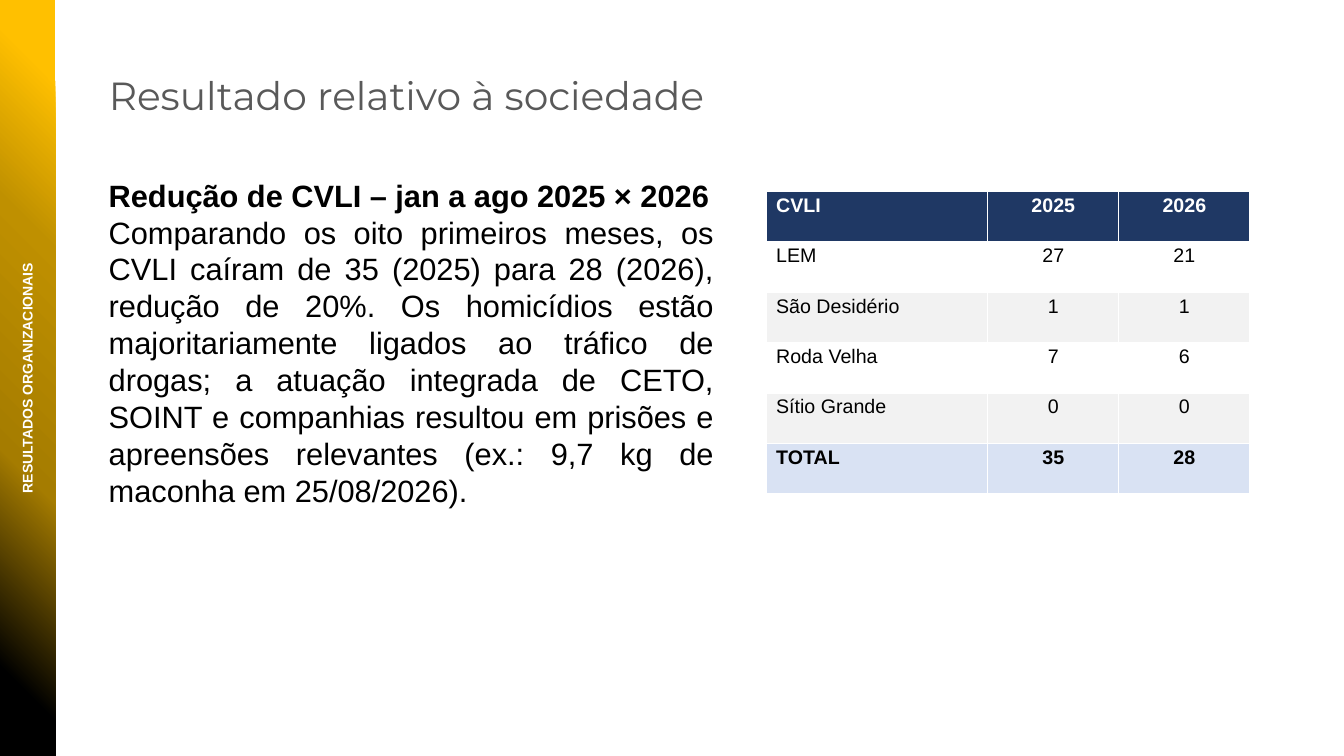
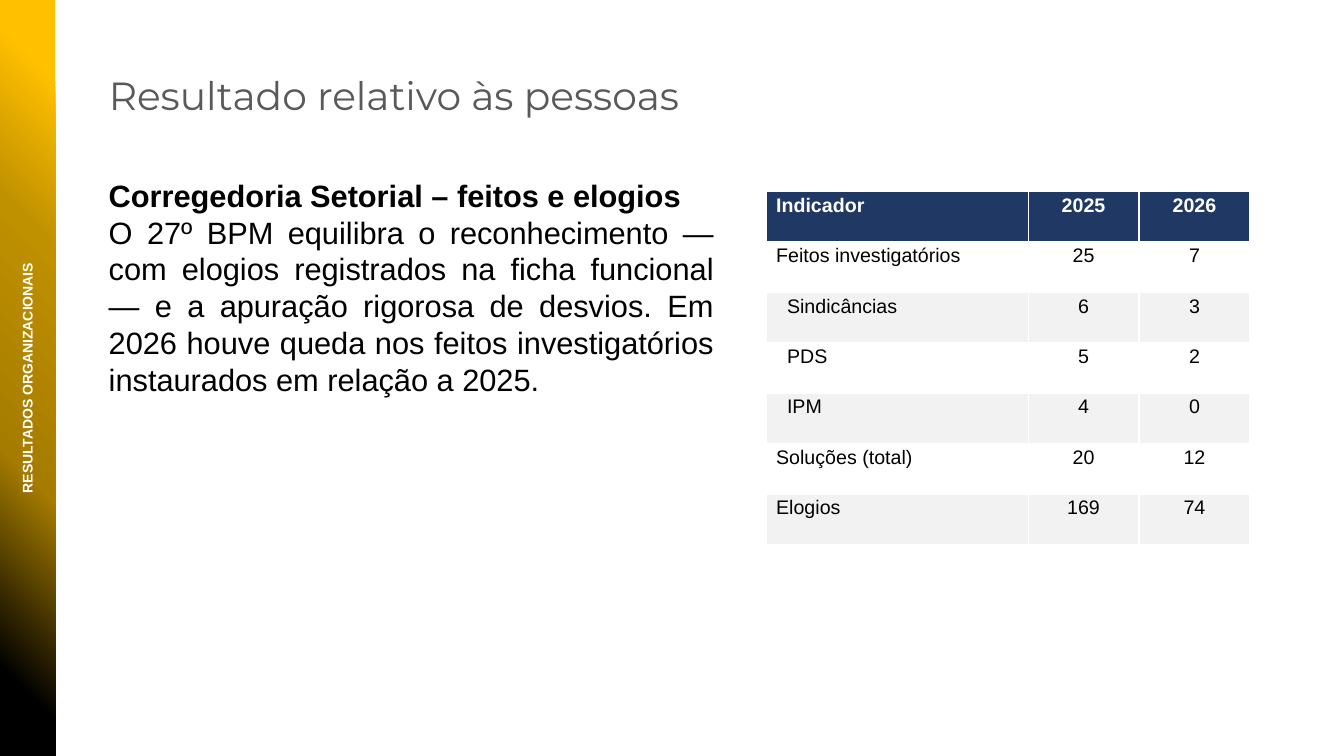
from pptx import Presentation
from pptx.dml.color import RGBColor
from pptx.enum.shapes import MSO_SHAPE
from pptx.enum.text import PP_ALIGN
from pptx.oxml import parse_xml
from pptx.oxml.ns import nsdecls
from pptx.util import Pt

SLIDE_WIDTH, SLIDE_HEIGHT = 960, 540
BAND_WIDTH = 39.6
BAND_STOPS = [(0, "000000"), (11, "000000"), (38, "A57C00"),
              (69, "BF9000"), (90, "FFC000"), (100, "FFC000")]
SECTION = "RESULTADOS ORGANIZACIONAIS"
BODY_FONT, TITLE_FONT = "Arial", "Montserrat"
BLACK, WHITE, GREY = "000000", "FFFFFF", "595959"
HEADER_FILL, STRIPE_FILL, TOTAL_FILL = "1F3864", "F2F2F2", "D9E2F3"
ROW_HEIGHT = 36
CELL_MARGIN, SUBITEM_MARGIN = 7.2, 15

SOCIETY = {
    "title": "Resultado relativo à sociedade",
    "heading": "Redução de CVLI – jan a ago 2025 × 2026",
    "text": "Comparando os oito primeiros meses, os CVLI caíram de 35 (2025) para 28 "
            "(2026), redução de 20%. Os homicídios estão majoritariamente ligados ao "
            "tráfico de drogas; a atuação integrada de CETO, SOINT e companhias resultou "
            "em prisões e apreensões relevantes (ex.: 9,7 kg de maconha em 25/08/2026).",
    "column_widths": [158.4, 93.6, 93.6],
    "rows": [("CVLI", "2025", "2026"),
             ("LEM", "27", "21"),
             ("São Desidério", "1", "1"),
             ("Roda Velha", "7", "6"),
             ("Sítio Grande", "0", "0"),
             ("TOTAL", "35", "28")],
}
PEOPLE = {
    "title": "Resultado relativo às pessoas",
    "heading": "Corregedoria Setorial – feitos e elogios",
    "text": "O 27º BPM equilibra o reconhecimento — com elogios registrados na ficha "
            "funcional — e a apuração rigorosa de desvios. Em 2026 houve queda nos feitos "
            "investigatórios instaurados em relação a 2025.",
    "column_widths": [187.2, 79.2, 79.2],
    "rows": [("Indicador", "2025", "2026"),
             ("Feitos investigatórios", "25", "7"),
             ("Sindicâncias", "6", "3"),
             ("PDS", "5", "2"),
             ("IPM", "4", "0"),
             ("Soluções (total)", "20", "12"),
             ("Elogios", "169", "74")],
}
SUBITEMS = {"Sindicâncias", "PDS", "IPM"}


def rgb(value):
    return RGBColor.from_string(value)


def write(paragraph, text, size, color=BLACK, bold=False, font=BODY_FONT,
          align=PP_ALIGN.LEFT):
    paragraph.text = text
    paragraph.alignment = align
    paragraph.font.name = font
    paragraph.font.size = Pt(size)
    paragraph.font.bold = bold
    paragraph.font.color.rgb = rgb(color)


def add_text_frame(slide, left, top, width, height, rotation=0):
    box = slide.shapes.add_textbox(Pt(left), Pt(top), Pt(width), Pt(height))
    box.rotation = rotation
    box.text_frame.word_wrap = True
    return box.text_frame


def add_band(slide):
    band = slide.shapes.add_shape(MSO_SHAPE.RECTANGLE, 0, 0, Pt(BAND_WIDTH),
                                  Pt(SLIDE_HEIGHT))
    band.shadow.inherit = False
    band.line.fill.background()
    stops = "".join(f'<a:gs pos="{percent * 1000}"><a:srgbClr val="{color}"/></a:gs>'
                    for percent, color in BAND_STOPS)
    gradient = parse_xml(
        f'<a:gradFill {nsdecls("a")} rotWithShape="1"><a:gsLst>{stops}</a:gsLst>'
        '<a:path path="circle"><a:fillToRect t="100000" r="100000"/></a:path>'
        '</a:gradFill>')
    band.element.spPr.prstGeom.addnext(gradient)

    label_width, label_height = 422, 20
    label = add_text_frame(slide, (BAND_WIDTH - label_width) / 2,
                           (SLIDE_HEIGHT - label_height) / 2,
                           label_width, label_height, rotation=270)
    write(label.paragraphs[0], SECTION, 10, WHITE, bold=True, align=PP_ALIGN.CENTER)


def add_title(slide, title):
    frame = add_text_frame(slide, 70.6, 47.5, 685, 41)
    write(frame.paragraphs[0], title, 28, GREY, font=TITLE_FONT)


def add_commentary(slide, heading, text):
    frame = add_text_frame(slide, 70.6, 122.4, 446.4, 324)
    write(frame.paragraphs[0], heading, 22, bold=True, align=PP_ALIGN.JUSTIFY)
    write(frame.add_paragraph(), text, 22, align=PP_ALIGN.JUSTIFY)


def row_style(index, label):
    """Return the fill, text colour and boldness of a table row."""
    if index == 0:
        return HEADER_FILL, WHITE, True
    if label == "TOTAL":
        return TOTAL_FILL, BLACK, True
    return (WHITE if index % 2 else STRIPE_FILL), BLACK, False


def add_results_table(slide, rows, column_widths):
    table = slide.shapes.add_table(
        len(rows), len(column_widths), Pt(547.2), Pt(136.8),
        Pt(sum(column_widths)), Pt(ROW_HEIGHT * len(rows))).table
    for column, width in zip(table.columns, column_widths):
        column.width = Pt(width)
    for row_index, values in enumerate(rows):
        fill, color, bold = row_style(row_index, values[0])
        for column_index, value in enumerate(values):
            cell = table.cell(row_index, column_index)
            cell.fill.solid()
            cell.fill.fore_color.rgb = rgb(fill)
            cell.margin_top = cell.margin_bottom = Pt(2.16)
            cell.margin_left = Pt(SUBITEM_MARGIN if value in SUBITEMS else CELL_MARGIN)
            write(cell.text_frame.paragraphs[0], value, 14, color, bold,
                  align=PP_ALIGN.CENTER if column_index else PP_ALIGN.LEFT)


def add_result_slide(presentation, result):
    slide = presentation.slides.add_slide(presentation.slide_layouts[6])
    add_band(slide)
    add_title(slide, result["title"])
    add_commentary(slide, result["heading"], result["text"])
    add_results_table(slide, result["rows"], result["column_widths"])


def main():
    presentation = Presentation()
    presentation.slide_width = Pt(SLIDE_WIDTH)
    presentation.slide_height = Pt(SLIDE_HEIGHT)
    for result in (SOCIETY, PEOPLE):
        add_result_slide(presentation, result)
    presentation.save("out.pptx")


if __name__ == "__main__":
    main()
